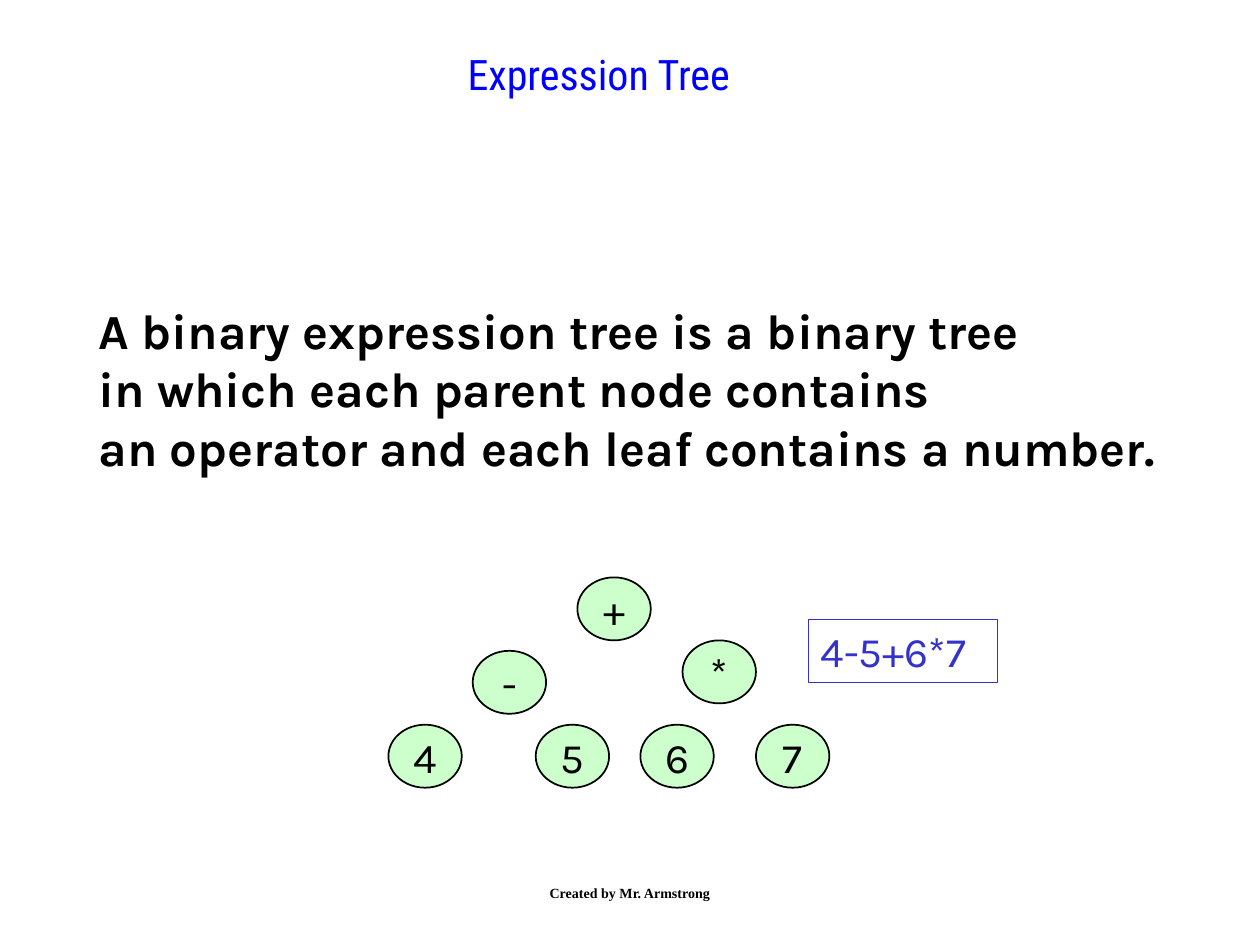
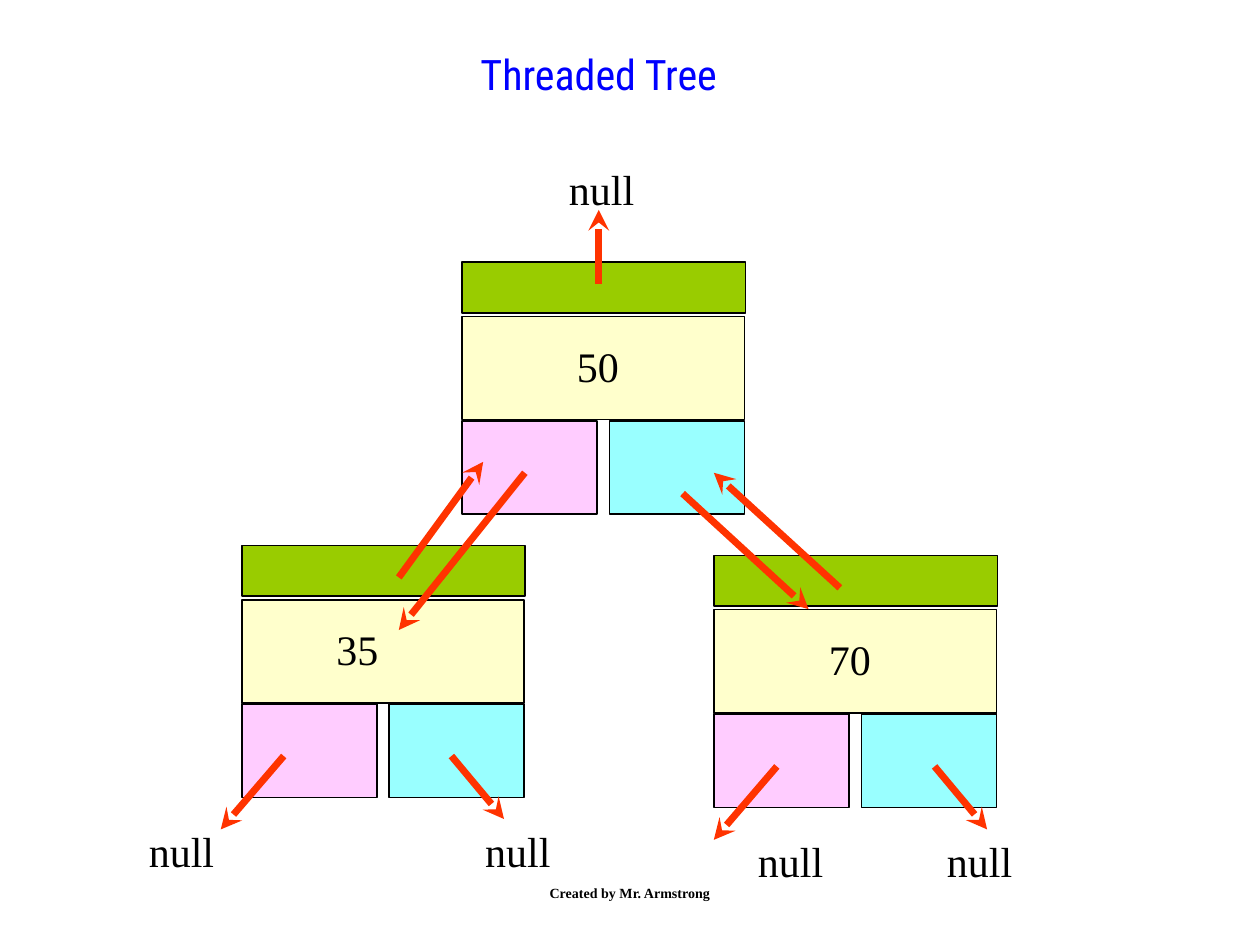
from pptx import Presentation
from pptx.dml.color import RGBColor
from pptx.enum.shapes import MSO_CONNECTOR as Link, MSO_SHAPE as Form
from pptx.enum.text import MSO_ANCHOR as Anchor, MSO_AUTO_SIZE as Fit, PP_ALIGN as Align
from pptx.oxml.ns import qn
from pptx.util import Cm, Pt
from lxml.etree import SubElement

BLACK = RGBColor(0x00, 0x00, 0x00)
BLUE = RGBColor(0x00, 0x00, 0xFF)
INDIGO = RGBColor(0x33, 0x33, 0xCC)
MINT = RGBColor(0xCC, 0xFF, 0xCC)
CREAM = RGBColor(0xFF, 0xFF, 0xCC)
PINK = RGBColor(0xFF, 0xCC, 0xFF)
AQUA = RGBColor(0x99, 0xFF, 0xFF)
GREEN = RGBColor(0x99, 0xCC, 0x00)
RED = RGBColor(0xFF, 0x33, 0x00)

HEAD, SANS, SERIF = "Roboto Condensed", "Karla", "Times New Roman"

CREDIT = "Created by Mr. Armstrong"
MEANING = [
    "A binary expression tree is a binary tree",
    "in which each parent node contains\v"
    "an operator and each leaf contains a number.",
]
FORMULA = "4-5+6*7"
TERMS = [
    ("+", 11.64, 11.64),
    ("-", 9.53, 13.12), ("*", 13.76, 12.91),
    ("4", 7.83, 14.61), ("5", 10.8, 14.61),
    ("6", 12.91, 14.61), ("7", 15.24, 14.61),
]
NODES = [
    ("50", 9.32, 6.38, 2.06),
    ("35", 4.88, 12.09, 1.65),
    ("70", 14.4, 12.29, 2.06),
]
PARTS = [
    (CREAM, 0, 0, 5.69, 2.08),
    (PINK, 0, 2.11, 2.72, 1.88),
    (AQUA, 2.97, 2.11, 2.72, 1.88),
    (GREEN, 0, -1.09, 5.71, 1.02),
]
NULLS = [(11.22, 3.18), (2.75, 16.51), (9.53, 16.51), (15.03, 16.72), (18.84, 16.72)]
ARROWS = [
    (10.58, 9.53, 8.04, 12.7), (8.04, 11.64, 9.74, 9.31),
    (16.93, 11.85, 14.39, 9.53), (13.76, 9.95, 16.3, 12.28),
    (12.07, 5.72, 12.07, 4.23),
    (5.72, 15.24, 4.45, 16.72), (15.66, 15.45, 14.39, 16.93),
    (9.1, 15.24, 10.16, 16.51), (18.84, 15.45, 19.9, 16.72),
]


def place(shape, *box):
    shape.left, shape.top, shape.width, shape.height = map(Cm, box)


def style(para, font, size, color, bold=False, align=Align.LEFT):
    para.alignment = align
    face = para.font
    face.name, face.size, face.bold = font, Pt(size), bold
    face.color.rgb = color


def write(shape, text, *look, anchor=Anchor.MIDDLE, wrap=True, **more):
    frame = shape.text_frame
    frame.word_wrap, frame.vertical_anchor = wrap, anchor
    frame.text = text
    style(frame.paragraphs[0], *look, **more)


def add_text(slide, box, text, *look, **more):
    write(slide.shapes.add_textbox(*map(Cm, box)), text, *look, **more)


def add_box(slide, form, box, fill, line=BLACK):
    shape = slide.shapes.add_shape(form, *map(Cm, box))
    shape.shadow.inherit = False
    if fill is None:
        shape.fill.background()
    else:
        shape.fill.solid()
        shape.fill.fore_color.rgb = fill
    shape.line.color.rgb = line
    shape.line.width = Pt(1)
    return shape


def add_arrow(slide, ends):
    arrow = slide.shapes.add_connector(Link.STRAIGHT, *map(Cm, ends))
    arrow.line.color.rgb = RED
    arrow.line.width = Pt(4)
    SubElement(arrow.line._get_or_add_ln(), qn("a:tailEnd"), type="stealth")
    SubElement(arrow._element.spPr, qn("a:effectLst"))


def add_slide(deck, layout, title):
    slide = deck.slides.add_slide(deck.slide_layouts[layout])
    place(slide.shapes.title, 3.18, 0.85, 17.78, 2.54)
    write(slide.shapes.title, title, HEAD, 24, BLUE,
          anchor=Anchor.TOP, align=Align.CENTER)
    add_text(slide, (8.68, 17.36, 8.04, 1.27), CREDIT, SERIF, 8, BLACK,
             bold=True, align=Align.CENTER)
    return slide


def fill_body(body, lines):
    place(body, 1.73, 4.65, 22.99, 7.37)
    frame = body.text_frame
    frame.auto_size, frame.word_wrap = Fit.NONE, True
    frame.vertical_anchor, frame.margin_top = Anchor.TOP, Cm(1.4)
    frame.text = "\n".join(lines)
    for para in frame.paragraphs:
        props = para._p.get_or_add_pPr()
        props.set("marL", "0")
        props.set("indent", "0")
        para.space_before = Pt(0)
        SubElement(props, qn("a:buNone"))
        style(para, SANS, 28, BLACK, bold=True)


def draw_terms(deck):
    slide = add_slide(deck, 1, "Expression Tree")
    fill_body(slide.placeholders[1], MEANING)
    for term, x, y in TERMS:
        oval = add_box(slide, Form.OVAL, (x, y, 1.48, 1.27), MINT)
        write(oval, term, SANS, 24, BLACK, wrap=False, align=Align.CENTER)
    frame = add_box(slide, Form.RECTANGLE, (16.3, 12.49, 3.81, 1.27), None, INDIGO)
    write(frame, FORMULA, SANS, 24, INDIGO)


def draw_threads(deck):
    slide = add_slide(deck, 5, "Threaded Tree")
    for key, x, y, shift in NODES:
        for fill, dx, dy, w, h in PARTS:
            add_box(slide, Form.RECTANGLE, (x + dx, y + dy, w, h), fill)
        add_text(slide, (x + shift, y + 0.36, 1.37, 1.27), key, SERIF, 24, BLACK,
                 anchor=Anchor.TOP, wrap=False)
    for x, y in NULLS:
        add_text(slide, (x, y, 1.83, 1.27), "null", SERIF, 24, BLACK,
                 anchor=Anchor.TOP, wrap=False)
    for ends in ARROWS:
        add_arrow(slide, ends)


def main():
    deck = Presentation()
    deck.slide_width, deck.slide_height = Cm(25.4), Cm(19.05)
    draw_terms(deck)
    draw_threads(deck)
    deck.save("out.pptx")


if __name__ == "__main__":
    main()
